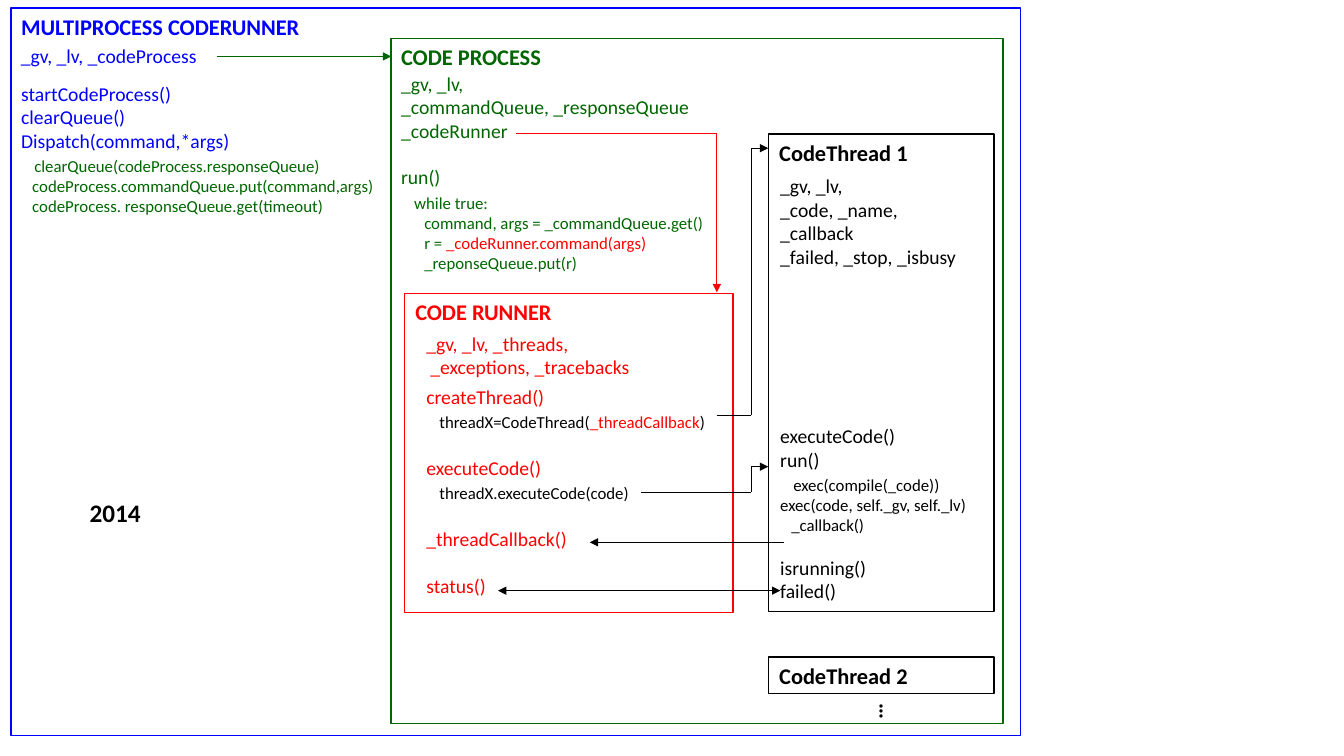
from itertools import pairwise
from pptx import Presentation
from pptx.dml.color import RGBColor
from pptx.enum.shapes import MSO_CONNECTOR, MSO_SHAPE
from pptx.enum.text import MSO_ANCHOR, MSO_AUTO_SIZE, PP_ALIGN
from pptx.oxml.ns import qn
from pptx.util import Inches, Pt
from lxml.etree import SubElement

BLUE, GREEN, RED, BLACK = "0000FF", "006600", "FF0000", "000000"
FRAME = {"word_wrap": False, "auto_size": MSO_AUTO_SIZE.SHAPE_TO_FIT_TEXT,
         "vertical_anchor": MSO_ANCHOR.TOP,
         "margin_left": Inches(0.1), "margin_right": Inches(0.1),
         "margin_top": Inches(0.05), "margin_bottom": Inches(0.05)}
STEP, DEEP = 0.13, 0.23


def ink(code):
    return RGBColor.from_string(code)


def apply(target, values):
    for name, value in values.items():
        setattr(target, name, value)


def row(*runs, size=14, dent=0, gap=0):
    return runs, size, dent, gap


def small(*runs, dent=0.11, gap=0):
    return row(*runs, size=12, dent=dent, gap=gap)


def step(*runs):
    return small(*runs, dent=STEP, gap=2.5)


class Board:
    def __init__(self, slide, font):
        self.slide = slide
        self.font = font

    def box(self, color, *place):
        shape = self.slide.shapes.add_shape(MSO_SHAPE.RECTANGLE, *map(Inches, place))
        shape.shadow.inherit = False
        shape.fill.background()
        shape.line.color.rgb = ink(color)
        shape.line.width = Pt(1)

    def text(self, color, place, rows, bold=False, align=PP_ALIGN.LEFT, turn=0, holder=None):
        spot = dict(zip(("left", "top", "width", "height"), map(Inches, place)))
        shape = holder or self.slide.shapes.add_textbox(**spot)
        apply(shape, spot | {"rotation": turn})
        frame = shape.text_frame
        apply(frame, FRAME)
        for i, (runs, size, dent, gap) in enumerate(rows):
            para = frame.add_paragraph() if i else frame.paragraphs[0]
            apply(para, {"alignment": align, "space_before": Pt(gap),
                         "space_after": Pt(0), "line_spacing": 1.0})
            props = para._p.get_or_add_pPr()
            props.set("marL", str(Inches(dent)))
            props.set("indent", "0")
            SubElement(props, qn("a:buNone"))
            for part in runs:
                words, shade = (part, color) if isinstance(part, str) else part
                run = para.add_run()
                run.text = words
                apply(run.font, {"name": self.font, "size": Pt(size), "bold": bold})
                run.font.color.rgb = ink(shade)

    def head(self, color, place, words, size=16, **extra):
        self.text(color, place, [row(words, size=size)], bold=True, **extra)

    def route(self, color, *points, ends=("tailEnd",)):
        legs = list(pairwise(points))
        for i, (start, stop) in enumerate(legs, 1):
            line = self.slide.shapes.add_connector(
                MSO_CONNECTOR.STRAIGHT, *map(Inches, start + stop))
            line.line.color.rgb = ink(color)
            line.line.width = Pt(0.5)
            if i == len(legs):
                for end in ends:
                    SubElement(line.line._get_or_add_ln(), qn("a:" + end), type="triangle")
            SubElement(line._element.spPr, qn("a:effectLst"))


def main():
    deck = Presentation()
    apply(deck, {"slide_width": Inches(13.33), "slide_height": Inches(7.5)})
    slide = deck.slides.add_slide(deck.slide_layouts[1])
    board = Board(slide, "Calibri")
    title, body = slide.placeholders

    board.box(BLUE, 0.11, 0.08, 10.01, 7.22)
    board.head(BLUE, (0.11, 0.08, 3, 0.37), "MULTIPROCESS CODERUNNER", holder=title)
    board.text(BLUE, (0.11, 0.39, 1.96, 0.34), [row("_gv, _lv, _codeProcess")])
    board.text(BLUE, (0.11, 0.76, 3.74, 1.45), [
        row("startCodeProcess()"),
        row("clearQueue()"),
        row("Dispatch(command,*args)"),
        step(("clearQueue(codeProcess.responseQueue)", GREEN)),
        small(("codeProcess.commandQueue.put(command,args)", GREEN)),
        small(("codeProcess. responseQueue.get(timeout)", GREEN)),
    ], holder=body)
    board.head(BLACK, (0.79, 4.88, 0.71, 0.4), "2014", size=18)

    board.box(GREEN, 3.88, 0.38, 6.07, 6.8)
    board.head(GREEN, (3.88, 0.38, 1.61, 0.37), "CODE PROCESS")
    board.text(GREEN, (3.88, 0.66, 3.09, 0.81), [
        row("_gv, _lv,"),
        row("_commandQueue, _responseQueue"),
        row("_codeRunner"),
    ])
    board.text(GREEN, (3.88, 1.59, 3.23, 1.38), [
        row("run()"),
        step("while true:"),
        small("command, args = _commandQueue.get()", dent=DEEP),
        small("r = ", ("_codeRunner.command(args)", RED), dent=DEEP),
        small("_reponseQueue.put(r)", dent=DEEP),
    ])

    board.box(RED, 4.01, 2.91, 3.26, 3.17)
    board.head(RED, (4.02, 2.91, 1.58, 0.37), "CODE RUNNER")
    board.text(RED, (4.13, 3.24, 2.24, 0.57), [
        row("_gv, _lv, _threads,"),
        row("_exceptions, _tracebacks", dent=0.04),
    ])
    board.text(RED, (4.13, 3.77, 2.99, 2.22), [
        row("createThread()"),
        step(("threadX=CodeThread(", BLACK), "_threadCallback", (")", BLACK)),
        row("executeCode()", gap=17),
        step(("threadX.executeCode(code)", BLACK)),
        row("_threadCallback()", gap=17),
        row("status()", gap=17),
    ])

    for count, top, height in ((1, 1.33, 4.74), (2, 6.52, 0.36)):
        board.box(BLACK, 7.62, top, 2.24, height)
        board.head(BLACK, (7.63, top, 1.49, 0.37), f"CodeThread {count}")
    board.head(BLACK, (8.63, 6.87, 0.36, 0.37), "…", align=PP_ALIGN.CENTER, turn=90)
    board.text(BLACK, (7.64, 1.68, 1.96, 1.04), [
        row("_gv, _lv,"),
        row("_code, _name,"),
        row("_callback"),
        row("_failed, _stop, _isbusy"),
    ])
    board.text(BLACK, (7.64, 4.16, 2.07, 1.88), [
        row("executeCode()"),
        row("run()"),
        step("exec(compile(_code))"),
        small("exec(code, self._gv, self._lv)", dent=0),
        small("_callback()"),
        row("isrunning()", gap=14.6),
        row("failed()"),
    ])

    board.route(GREEN, (2.15, 0.56), (3.88, 0.56))
    board.route(RED, (5.12, 1.32), (7.11, 1.32), (7.11, 2.9))
    board.route(BLACK, (7.11, 4.12), (7.45, 4.12), (7.45, 1.47), (7.62, 1.47))
    board.route(BLACK, (6.36, 4.88), (7.45, 4.88), (7.45, 4.63), (7.62, 4.63))
    board.route(BLACK, (7.78, 5.38), (5.85, 5.38))
    board.route(BLACK, (7.74, 5.86), (4.94, 5.86), ends=("headEnd", "tailEnd"))
    deck.save("out.pptx")


if __name__ == "__main__":
    main()
